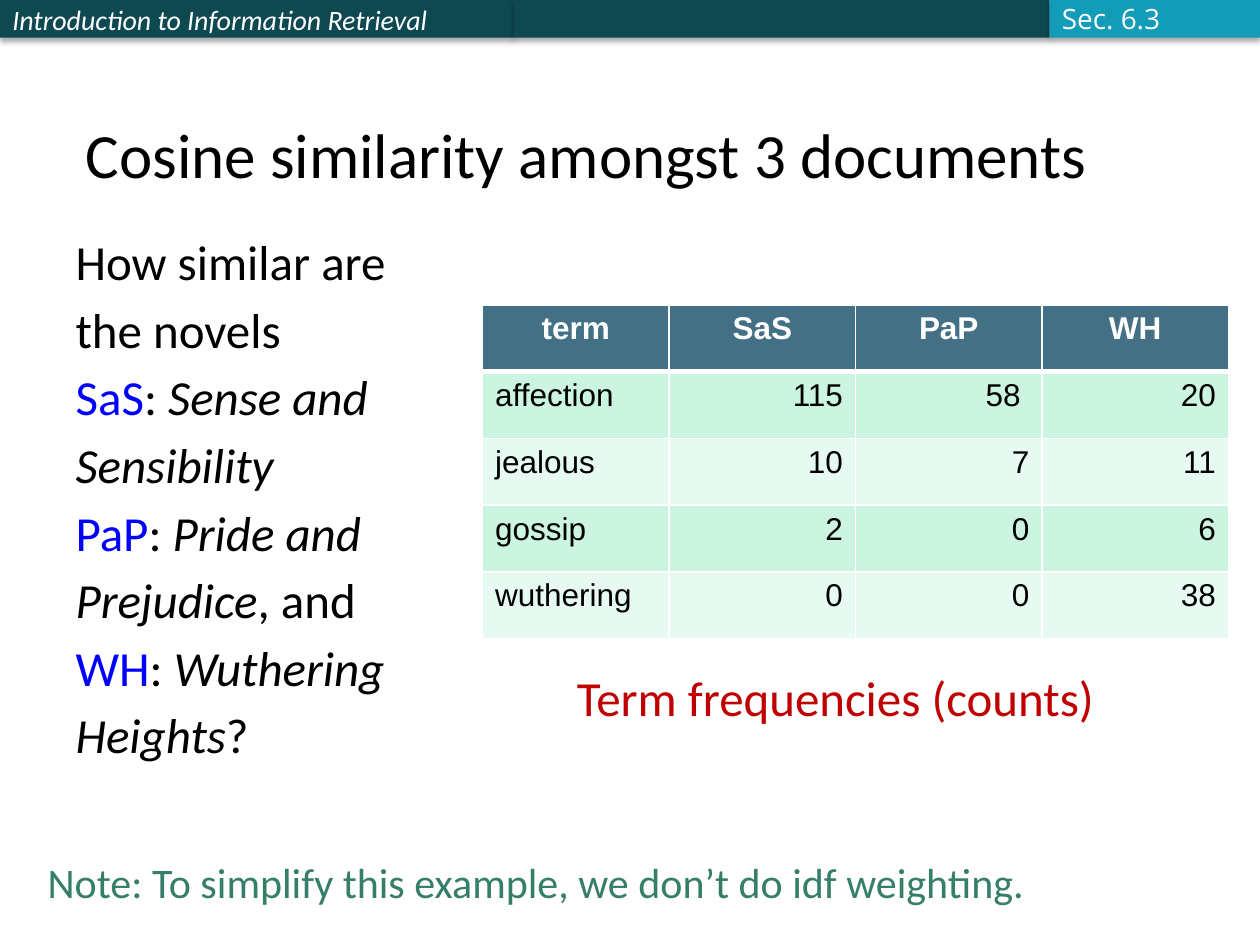
from lxml.etree import SubElement
from pptx import Presentation
from pptx.dml.color import RGBColor
from pptx.enum.shapes import MSO_SHAPE as Shape
from pptx.enum.text import MSO_ANCHOR as Anchor, MSO_AUTO_SIZE as Fit, PP_ALIGN as Align
from pptx.oxml import parse_xml
from pptx.oxml.ns import nsdecls, qn
from pptx.util import Inches, Pt

WHITE, BLACK, BLUE = "FFFFFF", "000000", "0000FF"


def color(code):
    return RGBColor.from_string(code)


class Page:
    """Holds the style and the current slide, and adds each kind of element."""

    def __init__(self, deck):
        self.slide = deck.slides.add_slide(deck.slide_layouts[1])
        self.style = {"name": "Calibri", "size": Pt(28), "bold": False, "italic": False}

    def spans(self, para, parts, **formats):
        for words, changes in parts:
            span = para.add_run()
            span.text = words
            values = {**self.style, "color": BLACK, **formats, **changes}
            span.font.color.rgb = color(values.pop("color"))
            for key, value in values.items():
                setattr(span.font, key, value)

    def frame(self, box, **settings):
        for key, value in settings.items():
            setattr(box.text_frame, key, value)
        return box.text_frame.paragraphs[0]

    def place(self, box, left, top, width, height):
        box.left, box.top = Inches(left), Inches(top)
        box.width, box.height = Inches(width), Inches(height)

    def bar(self, left, width, fill, words=""):
        box = self.slide.shapes.add_shape(
            Shape.RECTANGLE, Inches(left), 0, Inches(width), Inches(0.3))
        box.fill.solid()
        box.fill.fore_color.rgb = color(fill)
        box.line.fill.background()
        box._element.spPr.append(parse_xml(
            f'<a:effectLst {nsdecls("a")}><a:outerShdw blurRad="{Pt(3.1)}" dist="{Pt(1.8)}"'
            ' dir="5400000" rotWithShape="0"><a:srgbClr val="000000"><a:alpha val="35000"/>'
            '</a:srgbClr></a:outerShdw></a:effectLst>'))
        if words:
            para = self.frame(box, vertical_anchor=Anchor.MIDDLE, word_wrap=True)
            para.alignment = Align.LEFT
            self.spans(para, [(words, {})], size=Pt(16), color=WHITE, italic=True)

    def title(self, words, *area):
        box = self.slide.shapes.title
        self.place(box, *area)
        para = self.frame(box, vertical_anchor=Anchor.BOTTOM, auto_size=Fit.NONE)
        para.alignment = Align.LEFT
        self.spans(para, [(words, {})], size=Pt(36))

    def body(self, lines, *area):
        box = self.slide.placeholders[1]
        self.place(box, *area)
        para = self.frame(box, vertical_anchor=Anchor.TOP, auto_size=Fit.NONE)
        for index, parts in enumerate(lines):
            para = box.text_frame.add_paragraph() if index else para
            para.space_before = Pt(5)
            props = para._p.get_or_add_pPr()
            props.set("marL", "0")
            props.set("indent", "0")
            SubElement(props, qn("a:buNone"))
            self.spans(para, parts)

    def text(self, words, area, anchor=Anchor.TOP, **formats):
        box = self.slide.shapes.add_textbox(*map(Inches, area))
        para = self.frame(box, word_wrap=False, vertical_anchor=anchor,
                          auto_size=Fit.SHAPE_TO_FIT_TEXT)
        self.spans(para, [(words, {})], **formats)

    def cell(self, cell, words, fill, align, top, bottom, **formats):
        props = cell._tc.get_or_add_tcPr()
        for side, width in zip("LRTB", (1, 1, top, bottom)):
            props.append(parse_xml(
                f'<a:ln{side} {nsdecls("a")} w="{Pt(width)}"><a:solidFill>'
                f'<a:srgbClr val="{WHITE}"/></a:solidFill></a:ln{side}>'))
        cell.fill.solid()
        cell.fill.fore_color.rgb = color(fill)
        para = cell.text_frame.paragraphs[0]
        para.alignment = align
        self.spans(para, [(words, {})], name="Arial", size=Pt(18), **formats)

    def table(self, rows, left, top, column, row_height):
        count = len(rows[0])
        table = self.slide.shapes.add_table(
            len(rows), count, Inches(left), Inches(top),
            Inches(column * count), Inches(row_height * len(rows))).table
        for row, values in enumerate(rows):
            header = row == 0
            fill = "437085" if header else ("E7FAF1", "CBF5E1")[row % 2]
            for col, words in enumerate(values):
                align = Align.CENTER if header else Align.RIGHT if col else Align.LEFT
                self.cell(table.cell(row, col), words, fill, align,
                          top=3 if row == 1 else 1, bottom=3 if header else 1,
                          bold=header, color=WHITE if header else BLACK)


def novel(short, start):
    return [(short, {"color": BLUE}), (": ", {}), (start, {"italic": True})]


def ending(words, rest=""):
    return [(words, {"italic": True})] + ([(rest, {})] if rest else [])


deck = Presentation()
deck.slide_width, deck.slide_height = Inches(10), Inches(7.5)
page = Page(deck)

page.bar(0, 4.08, "0E4851", "Introduction to Information Retrieval")
page.bar(4.08, 4.25, "0E4851")
page.bar(8.33, 1.67, "139CB7")
page.title("Cosine similarity amongst 3 documents", 0.58, 0.3, 9.42, 1.27)
page.table([
    ("term", "SaS", "PaP", "WH"),
    ("affection", "115", "58 ", "20"),
    ("jealous", "10", "7", "11"),
    ("gossip", "2", "0", "6"),
    ("wuthering", "0", "0", "38"),
], 3.83, 2.42, 1.48, 0.53)
page.body([
    [("How similar are", {})],
    [("the novels", {})],
    novel("SaS", "Sense and"),
    ending("Sensibility"),
    novel("PaP", "Pride and"),
    ending("Prejudice", ", and"),
    novel("WH", "Wuthering"),
    ending("Heights", "?"),
], 0.5, 1.79, 3.29, 5.13)
page.text("Term frequencies (counts)", (4.48, 5.25, 4.35, 0.57), color="C00000")
page.text("Sec. 6.3", (8.33, -0.04, 1.06, 0.37), Anchor.MIDDLE,
          name="Open Sans", size=Pt(16), color="FBFCFF")
page.text("Note: To simplify this example, we don’t do idf weighting.",
          (0.28, 6.75, 8.03, 0.5), size=Pt(24), color="357E69")

deck.save("out.pptx")
